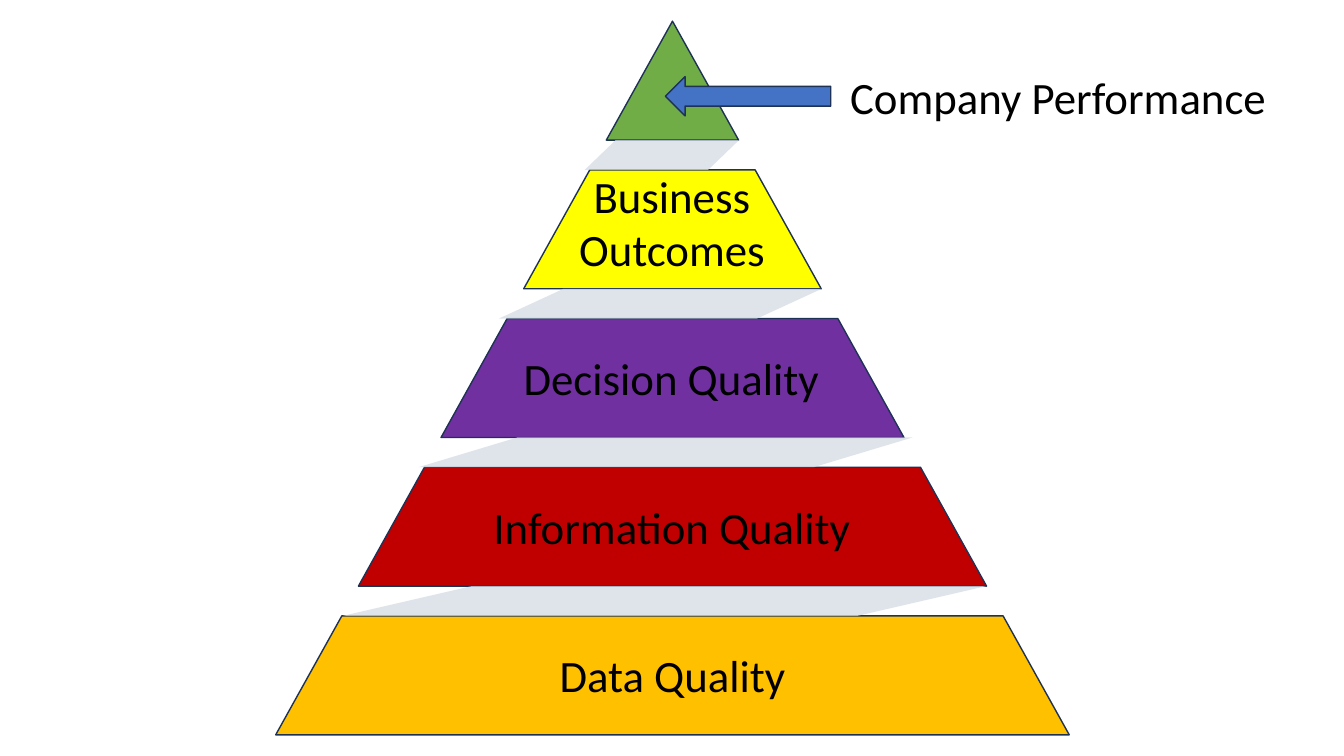
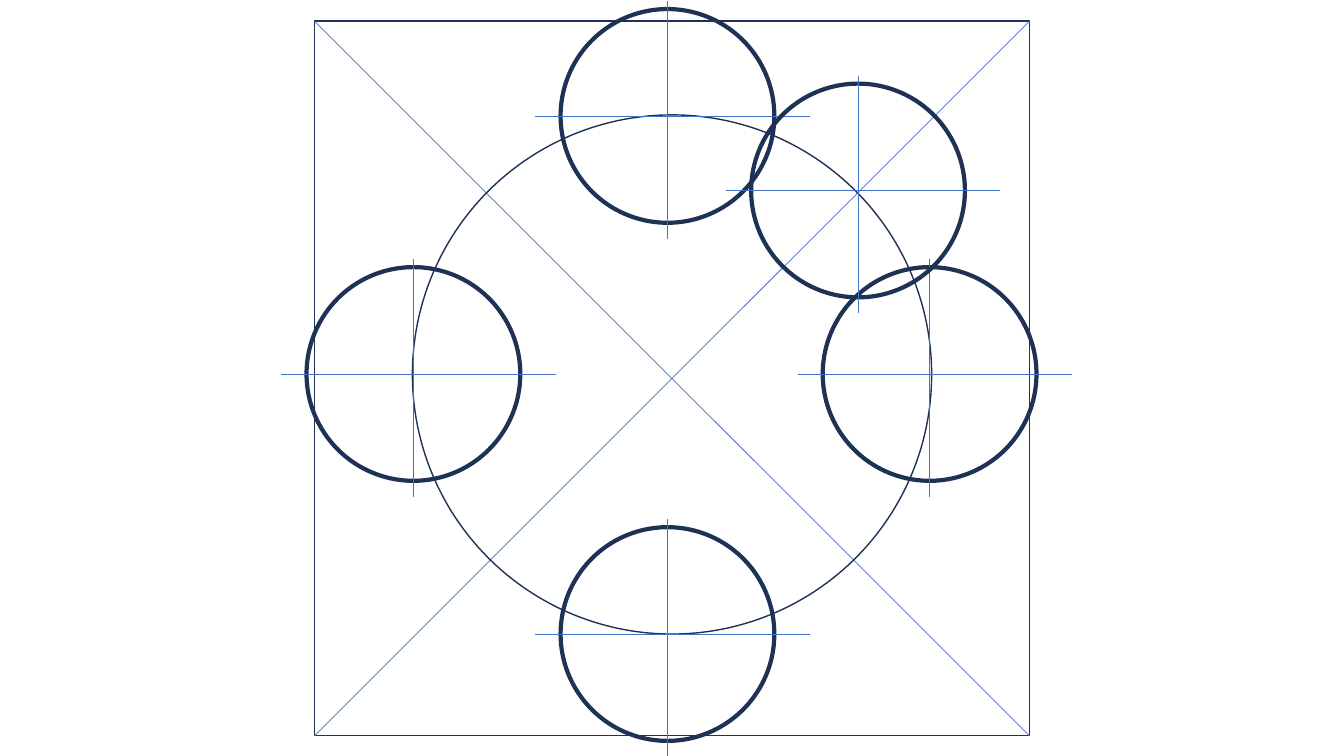
from lxml import etree
from pptx import Presentation
from pptx import util as u
from pptx.dml import color
from pptx.enum import shapes, text
from pptx.oxml import ns

INK = {"edge": "1E3256", "blue": "4472C4", "shade": "D6DCE5", "text": "000000",
       "green": "70AD47", "yellow": "FFFF00", "purple": "7030A0",
       "red": "C00000", "gold": "FFC000"}
KIND = shapes.MSO_SHAPE
MID, TOP, TALL, STEP = 6.67, 0.21, 1.18, 1.475
SLOPE = 3.935 / (4 * STEP + TALL)


def rgb(name):
    return color.RGBColor.from_string(INK[name])


def paint(shape, fill=None, line="edge", width=1):
    shape.shadow.inherit = False
    if fill:
        shape.fill.solid()
        shape.fill.fore_color.rgb = rgb(fill)
    else:
        shape.fill.background()
    if line:
        shape.line.color.rgb = rgb(line)
        shape.line.width = u.Pt(width)
    else:
        shape.line.fill.background()


def form(home, kind, box, **style):
    shape = home.shapes.add_shape(kind, *map(u.Inches, box))
    paint(shape, **style)
    return shape


def fade(shape, share):
    tint = shape.fill._xPr.find(".//" + ns.qn("a:srgbClr"))
    etree.SubElement(tint, ns.qn("a:alpha"), val=str(share * 1000))


def rule(home, *ends):
    line = home.shapes.add_connector(shapes.MSO_CONNECTOR.STRAIGHT, *map(u.Inches, ends))
    line.line.color.rgb = rgb("blue")
    line.line.width = u.Pt(0.5)
    etree.SubElement(line._element.spPr, ns.qn("a:effectLst"))


def label(slide, box, *lines):
    frame = slide.shapes.add_textbox(*map(u.Inches, box)).text_frame
    frame.word_wrap = True
    frame.auto_size = text.MSO_AUTO_SIZE.SHAPE_TO_FIT_TEXT
    frame.text = "\n".join(lines)
    for para in frame.paragraphs:
        para.alignment = text.PP_ALIGN.CENTER
        para.font.name = "Calibri"
        para.font.size = u.Pt(32)
        para.font.color.rgb = rgb("text")


def tier(slide, row, fill):
    top = TOP + row * STEP
    low = top + TALL
    near, far = SLOPE * (top - TOP), SLOPE * (low - TOP)
    spots = [(MID - near, top), (MID + near, top), (MID + far, low), (MID - far, low)]
    first, *rest = dict.fromkeys((u.Inches(x), u.Inches(y)) for x, y in spots)
    path = slide.shapes.build_freeform(*first)
    path.add_line_segments(rest)
    paint(path.convert_to_shape(), fill)


def target(slide, x, y):
    group = slide.shapes.add_group_shape()
    form(group, KIND.OVAL, (x - 1.06, y - 1.06, 2.12, 2.12), width=3)
    rule(group, x, y - 1.14, x, y + 1.22)
    rule(group, x - 1.31, y, x + 1.41, y)


def pyramid(slide):
    for row, fill in enumerate(("green", "yellow", "purple", "red", "gold")):
        tier(slide, row, fill)
    for row, (left, wide) in enumerate(((5.8, 1.53), (4.95, 3.2), (4.15, 4.9), (3.4, 6.38))):
        box = (left, TOP + row * STEP + TALL, wide, STEP - TALL)
        fade(form(slide, KIND.FLOWCHART_DATA, box, fill="shade", line=None), 76)
    label(slide, (4.87, 6.38, 3.6, 0.64), "Data Quality")
    label(slide, (3.55, 4.91, 6.23, 0.64), "Information Quality")
    label(slide, (4.73, 3.43, 3.86, 0.64), "Decision Quality")
    label(slide, (5.6, 1.62, 2.13, 1.18), "Business", "Outcomes")
    label(slide, (8.3, 0.64, 4.39, 0.64), "Company Performance")
    form(slide, KIND.LEFT_ARROW, (6.6, 0.76, 1.64, 0.39), fill="blue")


def layout(slide):
    left, side = 3.12, 7.09
    right, low = left + side, TOP + side
    form(slide, KIND.RECTANGLE, (left, TOP, side, side))
    rule(slide, left, low, right, TOP)
    rule(slide, right, low, left, TOP)
    form(slide, KIND.OVAL, (4.09, 1.14, 5.15, 5.15))
    for spot in ((6.62, 1.15), (6.62, 6.29), (9.22, 3.71), (4.1, 3.71), (8.51, 1.89)):
        target(slide, *spot)


def main():
    """Build the pyramid and circle layout slides."""
    deck = Presentation()
    deck.slide_width, deck.slide_height = u.Inches(13.33), u.Inches(7.5)
    for draw in (pyramid, layout):
        draw(deck.slides.add_slide(deck.slide_layouts[6]))
    deck.save("out.pptx")


if __name__ == "__main__":
    main()
